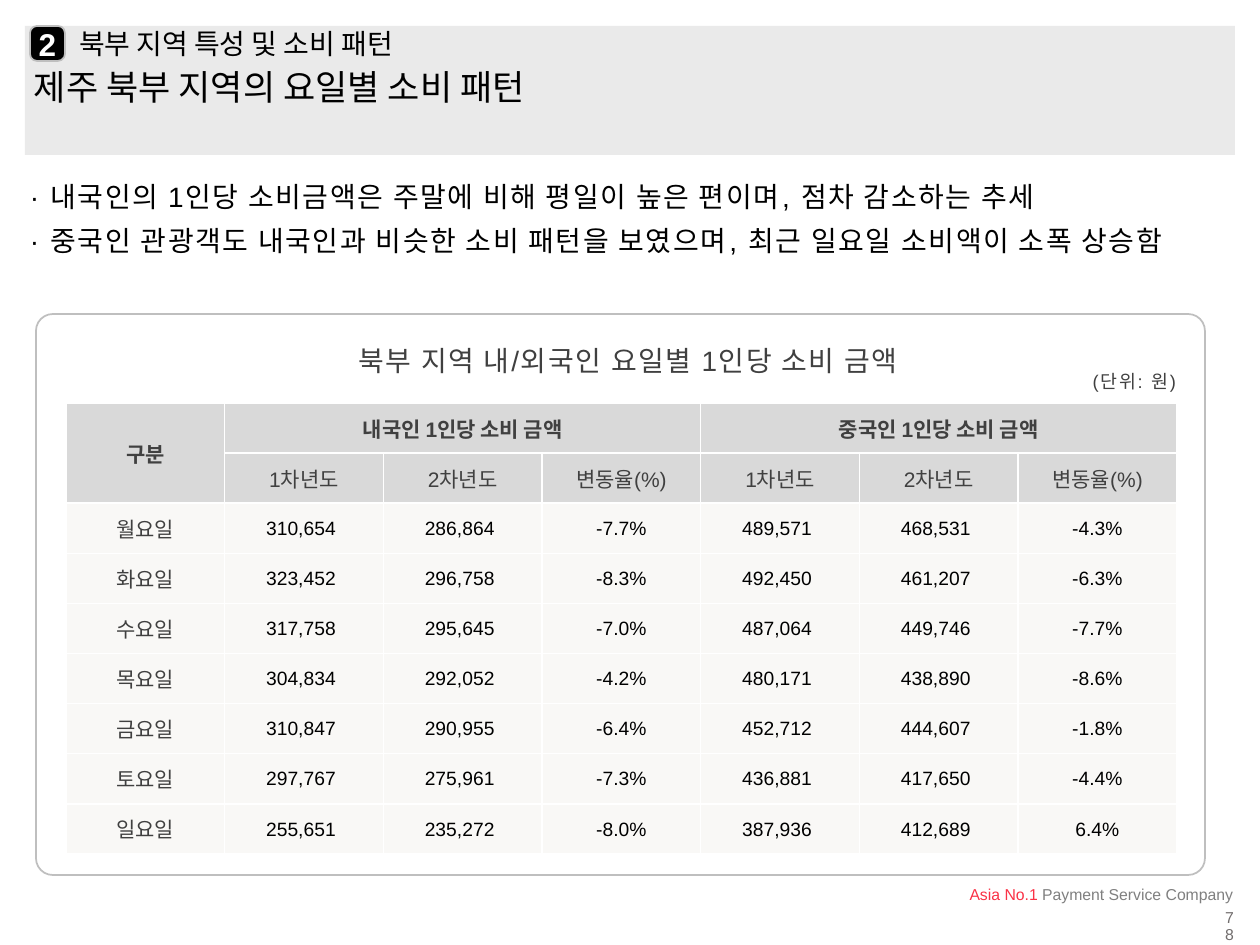
"""Build the slide on weekday spending in northern Jeju."""
from dataclasses import dataclass

from lxml.etree import SubElement
from pptx import Presentation
from pptx.dml.color import RGBColor as Rgb
from pptx.enum.shapes import MSO_SHAPE as Shape
from pptx.enum.text import MSO_ANCHOR as Anchor, MSO_AUTO_SIZE as AutoSize, PP_ALIGN as Align
from pptx.oxml.ns import qn
from pptx.util import Emu, Pt

PX_PER_INCH = 126


@dataclass(frozen=True)
class Theme:
    """Hold the colours, font and type sizes of the slide."""
    font: str = "Arial"
    black: str = "000000"
    white: str = "FFFFFF"
    text: str = "404040"
    band: str = "EAEAEA"
    header: str = "D9D9D9"
    row: str = "F9F8F6"
    outline: str = "BFBFBF"
    accent: str = "FA3246"
    footer: str = "808080"
    page_number: str = "716D6D"
    subtitle_size: float = 20
    badge_size: float = 18
    body_size: float = 16
    label_size: float = 12
    value_size: float = 11
    unit_size: float = 10.5
    small_size: float = 9


THEME = Theme()
NO_INSETS = (0, 0, 0, 0)
TEXT_INSETS = (10, 10, 10, 15)
SUMMARY = (
    "· 내국인의 1인당 소비금액은 주말에 비해 평일이 높은 편이며, 점차 감소하는 추세",
    "· 중국인 관광객도 내국인과 비슷한 소비 패턴을 보였으며, 최근 일요일 소비액이 소폭 상승함",
)
GROUPS = ("내국인 1인당 소비 금액", "중국인 1인당 소비 금액")
MEASURES = ("1차년도", "2차년도", "변동율(%)")
SPENDING = (
    ("월요일", "310,654", "286,864", "-7.7%", "489,571", "468,531", "-4.3%"),
    ("화요일", "323,452", "296,758", "-8.3%", "492,450", "461,207", "-6.3%"),
    ("수요일", "317,758", "295,645", "-7.0%", "487,064", "449,746", "-7.7%"),
    ("목요일", "304,834", "292,052", "-4.2%", "480,171", "438,890", "-8.6%"),
    ("금요일", "310,847", "290,955", "-6.4%", "452,712", "444,607", "-1.8%"),
    ("토요일", "297,767", "275,961", "-7.3%", "436,881", "417,650", "-4.4%"),
    ("일요일", "255,651", "235,272", "-8.0%", "387,936", "412,689", "6.4%"),
)


def px(count):
    """Turn pixels into EMU."""
    return Emu(round(count * 914400 / PX_PER_INCH))


def set_insets(holder, insets):
    """Set the left, top, right and bottom margins of a frame or cell."""
    (holder.margin_left, holder.margin_top,
     holder.margin_right, holder.margin_bottom) = map(px, insets)


def style_font(font, size, color, bold=False):
    """Apply the theme font with a size, colour and weight."""
    font.name, font.size, font.bold = THEME.font, Pt(size), bold
    font.color.rgb = Rgb.from_string(color)


def write(frame, lines, size, color, align=Align.LEFT, bold=False, leading=None, spacing=None):
    """Write one paragraph per line in a single style."""
    for index, line in enumerate(lines):
        para = frame.add_paragraph() if index else frame.paragraphs[0]
        span = para.add_run()
        span.text = line
        para.alignment, para.line_spacing = align, leading
        para.space_before = Pt(0)
        style_font(para.font, size, color, bold)
        style_font(span.font, size, color, bold)
        if spacing:
            span.font._element.set("spc", str(spacing * 100))


def prepare_frame(box, insets, anchor=Anchor.TOP):
    """Make a text frame wrap, with fixed size, insets and anchor."""
    frame = box.text_frame
    frame.word_wrap, frame.auto_size = True, AutoSize.NONE
    frame.vertical_anchor = anchor
    set_insets(frame, insets)
    return frame


def add_text(slide, area, insets=TEXT_INSETS, anchor=Anchor.TOP):
    """Add a text box and return its frame."""
    return prepare_frame(slide.shapes.add_textbox(*map(px, area)), insets, anchor)


def add_panel(slide, kind, area, fill=None, line=None, radius=None):
    """Add a preset shape with optional fill, outline and corner radius."""
    panel = slide.shapes.add_shape(kind, *map(px, area))
    panel.shadow.inherit = False
    if radius is not None:
        panel.adjustments[0] = radius
    if fill:
        panel.fill.solid()
        panel.fill.fore_color.rgb = Rgb.from_string(fill)
    else:
        panel.fill.background()
    if line:
        panel.line.color.rgb = Rgb.from_string(line)
        panel.line.width = Pt(1)
    else:
        panel.line.fill.background()
    return panel


def fill_placeholder(slide, box, area, text, size, insets=NO_INSETS, anchor=Anchor.TOP):
    """Move a placeholder to the front and write an unbulleted line in it."""
    slide.shapes._spTree.append(box._element)
    box.left, box.top, box.width, box.height = map(px, area)
    frame = prepare_frame(box, insets, anchor)
    properties = frame.paragraphs[0]._p.get_or_add_pPr()
    properties.set("marL", "0")
    properties.set("indent", "0")
    SubElement(properties, qn("a:buNone"))
    write(frame, [text], size, THEME.black, leading=0.9)


def style_cell(cell, fill):
    """Give a cell white borders, a fill and middle anchoring."""
    properties = cell._tc.get_or_add_tcPr()
    for side in ("lnL", "lnR", "lnT", "lnB"):
        border = SubElement(properties, qn(f"a:{side}"), w=str(Pt(1)))
        solid = SubElement(border, qn("a:solidFill"))
        SubElement(solid, qn("a:srgbClr"), val=THEME.white)
    cell.fill.solid()
    cell.fill.fore_color.rgb = Rgb.from_string(fill)
    cell.vertical_anchor = Anchor.MIDDLE


def add_spending_table(slide, area):
    """Add the weekday table with its two header rows."""
    span = len(MEASURES)
    groups = [text for group in GROUPS for text in (group, *[""] * (span - 1))]
    rows = [("구분", *groups), ("", *MEASURES * len(GROUPS)), *SPENDING]
    table = slide.shapes.add_table(len(rows), len(rows[0]), *map(px, area)).table
    table.first_row = table.horz_banding = False
    for r, row in enumerate(rows):
        for c, text in enumerate(row):
            cell = table.cell(r, c)
            style_cell(cell, THEME.header if r < 2 else THEME.row)
            is_value = r >= 2 and c > 0
            if is_value:
                set_insets(cell, (1, 1, 1 if text.endswith("%") else 7, 0))
            if text:
                size, color = ((THEME.value_size, THEME.black) if is_value
                               else (THEME.label_size, THEME.text))
                write(cell.text_frame, [text], size, color, Align.CENTER, bold=r == 0)
    table.cell(0, 0).merge(table.cell(1, 0))
    for first in range(1, len(rows[0]), span):
        table.cell(0, first).merge(table.cell(0, first + span - 1))


def add_footer(slide):
    """Add the two-colour slogan and the page number."""
    para = add_text(slide, (891, 880, 356, 28), (14, 8, 14, 8), Anchor.MIDDLE).paragraphs[0]
    para.alignment = Align.RIGHT
    for text, color in (("Asia No.1 ", THEME.accent),
                        ("Payment Service Company", THEME.footer)):
        span = para.add_run()
        span.text = text
        style_font(span.font, THEME.small_size, color)
    write(add_text(slide, (1225, 910, 9, 18), NO_INSETS), ["78"], THEME.small_size,
          THEME.page_number, Align.RIGHT, leading=0.9)


def main():
    """Build and save the deck."""
    deck = Presentation()
    deck.slide_width, deck.slide_height = px(1260), px(945)
    slide = deck.slides.add_slide(deck.slide_layouts[1])
    title, subtitle = slide.placeholders
    add_panel(slide, Shape.RECTANGLE, (25, 26, 1210, 129), THEME.band)
    add_footer(slide)
    add_spending_table(slide, (66, 403, 1111, 451))
    fill_placeholder(slide, subtitle, (34, 70, 1121, 39),
                     "제주 북부 지역의 요일별 소비 패턴", THEME.subtitle_size)
    write(add_text(slide, (20, 160, 1186, 115)), SUMMARY, THEME.body_size, THEME.black,
          leading=1.3, spacing=1)
    fill_placeholder(slide, title, (31, 26, 1121, 38), "북부 지역 특성 및 소비 패턴",
                     THEME.body_size, (48, 0, 0, 0), Anchor.MIDDLE)
    badge = add_panel(slide, Shape.ROUNDED_RECTANGLE, (30, 26, 35, 35),
                      THEME.black, THEME.outline, 0.2)
    write(prepare_frame(badge, (0, 10, 0, 10), Anchor.MIDDLE), ["2"], THEME.badge_size,
          THEME.white, Align.CENTER, bold=True)
    write(add_text(slide, (35, 324, 1186, 49)), ["북부 지역 내/외국인 요일별 1인당 소비 금액"],
          THEME.body_size, THEME.text, Align.CENTER, leading=1.3, spacing=1)
    add_panel(slide, Shape.ROUNDED_RECTANGLE, (36, 314, 1169, 561),
              line=THEME.outline, radius=0.03)
    write(add_text(slide, (1012, 354, 174, 59)), ["(단위: 원)"], THEME.unit_size,
          THEME.text, Align.RIGHT, leading=1.3, spacing=1)
    deck.save("out.pptx")


if __name__ == "__main__":
    main()
